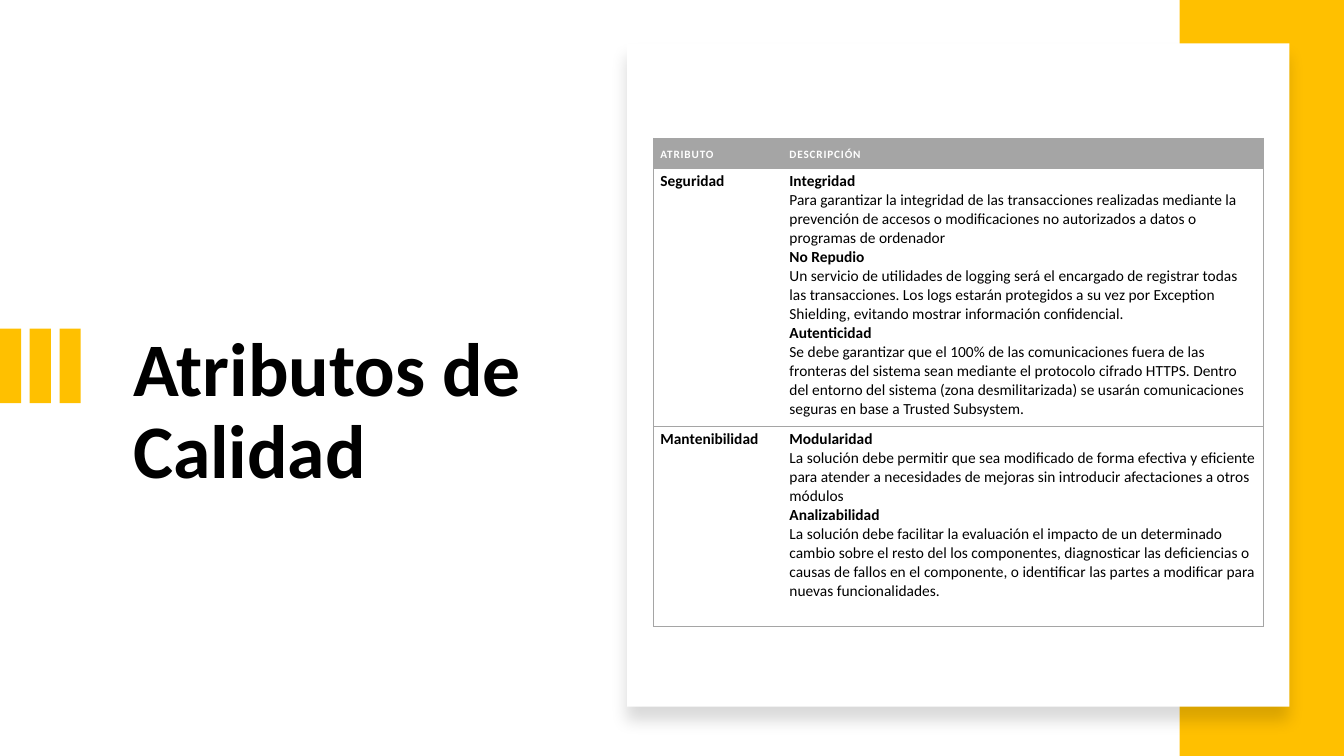
import pptx
import pptx.util
import pptx.dml.color
import pptx.enum.shapes
import pptx.enum.text
import pptx.oxml
from dataclasses import dataclass
from pptx.util import Inches


@dataclass(frozen=True)
class Theme:
    font: str = "Calibri"
    accent: str = "FFC000"
    white: str = "FFFFFF"
    black: str = "000000"
    gray: str = "A5A5A5"
    title_size: int = 54
    header_size: int = 8
    body_size: int = 11


THEME = Theme()
NS = 'xmlns:a="http://schemas.openxmlformats.org/drawingml/2006/main"'


def add_block(left, top, width, height, color):
    block = slide.shapes.add_shape(
        pptx.enum.shapes.MSO_SHAPE.RECTANGLE,
        Inches(left), Inches(top), Inches(width), Inches(height))
    block.shadow.inherit = False
    block.fill.solid()
    block.fill.fore_color.rgb = pptx.dml.color.RGBColor.from_string(color)
    block.line.fill.background()
    return block


def style_text(paragraph, size, color, bold):
    paragraph.font.name = THEME.font
    paragraph.font.size = pptx.util.Pt(size)
    paragraph.font.bold = bold
    paragraph.font.color.rgb = pptx.dml.color.RGBColor.from_string(color)


deck = pptx.Presentation()
deck.slide_width, deck.slide_height = Inches(13.33), Inches(7.5)
slide = deck.slides.add_slide(deck.slide_layouts[5])

# Title
title = slide.shapes.title
title.left, title.top = Inches(1.22), Inches(3.24)
title.width, title.height = Inches(4.41), Inches(2.61)
title.text_frame.text = "Atributos de Calidad"
title.text_frame.word_wrap = True
title.text_frame.auto_size = pptx.enum.text.MSO_AUTO_SIZE.NONE
title.text_frame.vertical_anchor = pptx.enum.text.MSO_ANCHOR.TOP
heading = title.text_frame.paragraphs[0]
heading.alignment = pptx.enum.text.PP_ALIGN.LEFT
heading.line_spacing = 0.9
style_text(heading, THEME.title_size, THEME.black, True)

# Accent bars, side band and card
for bar in range(3):
    add_block(bar * 0.295, 3.26, 0.21, 0.74, THEME.accent)
add_block(11.7, 0, 1.63, 7.5, THEME.accent)
card = add_block(6.22, 0.43, 6.57, 6.58, THEME.white)
card_effects = card._element.spPr.find(pptx.oxml.ns.qn("a:effectLst"))
card_effects.append(pptx.oxml.parse_xml(
    f'<a:outerShdw {NS} blurRad="{pptx.util.Pt(11)}" dist="{pptx.util.Pt(10)}" '
    f'dir="5400000" algn="t" rotWithShape="0"><a:srgbClr val="{THEME.black}">'
    '<a:alpha val="15000"/></a:srgbClr></a:outerShdw>'))

# Attribute table: each description alternates a bold quality and its explanation
attributes = [
    ("ATRIBUTO", ["DESCRIPCIÓN"]),
    ("Seguridad", [
        "Integridad",
        "Para garantizar la integridad de las transacciones realizadas mediante la prevención de accesos o modificaciones no autorizados a datos o programas de ordenador",
        "No Repudio",
        "Un servicio de utilidades de logging será el encargado de registrar todas las transacciones. Los logs estarán protegidos a su vez por Exception Shielding, evitando mostrar información confidencial.",
        "Autenticidad",
        "Se debe garantizar que el 100% de las comunicaciones fuera de las fronteras del sistema sean mediante el protocolo cifrado HTTPS. Dentro del entorno del sistema (zona desmilitarizada) se usarán comunicaciones seguras en base a Trusted Subsystem.",
    ]),
    ("Mantenibilidad", [
        "Modularidad",
        "La solución debe permitir que sea modificado de forma efectiva y eficiente para atender a necesidades de mejoras sin introducir afectaciones a otros módulos",
        "Analizabilidad",
        "La solución debe facilitar la evaluación el impacto de un determinado cambio sobre el resto del los componentes, diagnosticar las deficiencias o causas de fallos en el componente, o identificar las partes a modificar para nuevas funcionalidades.",
    ]),
]
column_widths = [1.28, 4.77]
row_heights = [0.3, 2.56, 1.98]
table = slide.shapes.add_table(
    3, 2, Inches(6.48), Inches(1.37),
    Inches(sum(column_widths)), Inches(sum(row_heights))).table
table.horz_banding = False
for column, width in zip(table.columns, column_widths):
    column.width = Inches(width)

for row, (attribute, description) in enumerate(attributes):
    table.rows[row].height = Inches(row_heights[row])
    is_header = row == 0
    for col, lines in enumerate([[attribute], description]):
        cell = table.cell(row, col)
        cell.margin_left = cell.margin_right = cell.margin_bottom = Inches(0.07)
        cell.margin_top = Inches(0.07 if is_header else 0.03)
        cell.vertical_anchor = (pptx.enum.text.MSO_ANCHOR.BOTTOM if is_header
                                else pptx.enum.text.MSO_ANCHOR.TOP)
        cell.fill.solid()
        cell.fill.fore_color.rgb = pptx.dml.color.RGBColor.from_string(
            THEME.gray if is_header else THEME.white)

        cell.text_frame.text = "\n".join(lines)
        for index, paragraph in enumerate(cell.text_frame.paragraphs):
            if is_header:
                style_text(paragraph, THEME.header_size, THEME.white, True)
                paragraph.runs[0].font._element.set("spc", "60")
            else:
                style_text(paragraph, THEME.body_size, THEME.black, index % 2 == 0)

        # Only the edge between the two columns stays unruled
        ruled = {"L": col == 0, "R": col == 1, "T": True, "B": True}
        for position, (side, visible) in enumerate(ruled.items()):
            paint = (f'<a:solidFill><a:srgbClr val="{THEME.gray}"/></a:solidFill>'
                     if visible else "<a:noFill/>")
            cell._tc.get_or_add_tcPr().insert(position, pptx.oxml.parse_xml(
                f'<a:ln{side} {NS} w="{pptx.util.Pt(0.5)}">{paint}</a:ln{side}>'))

deck.save("out.pptx")
